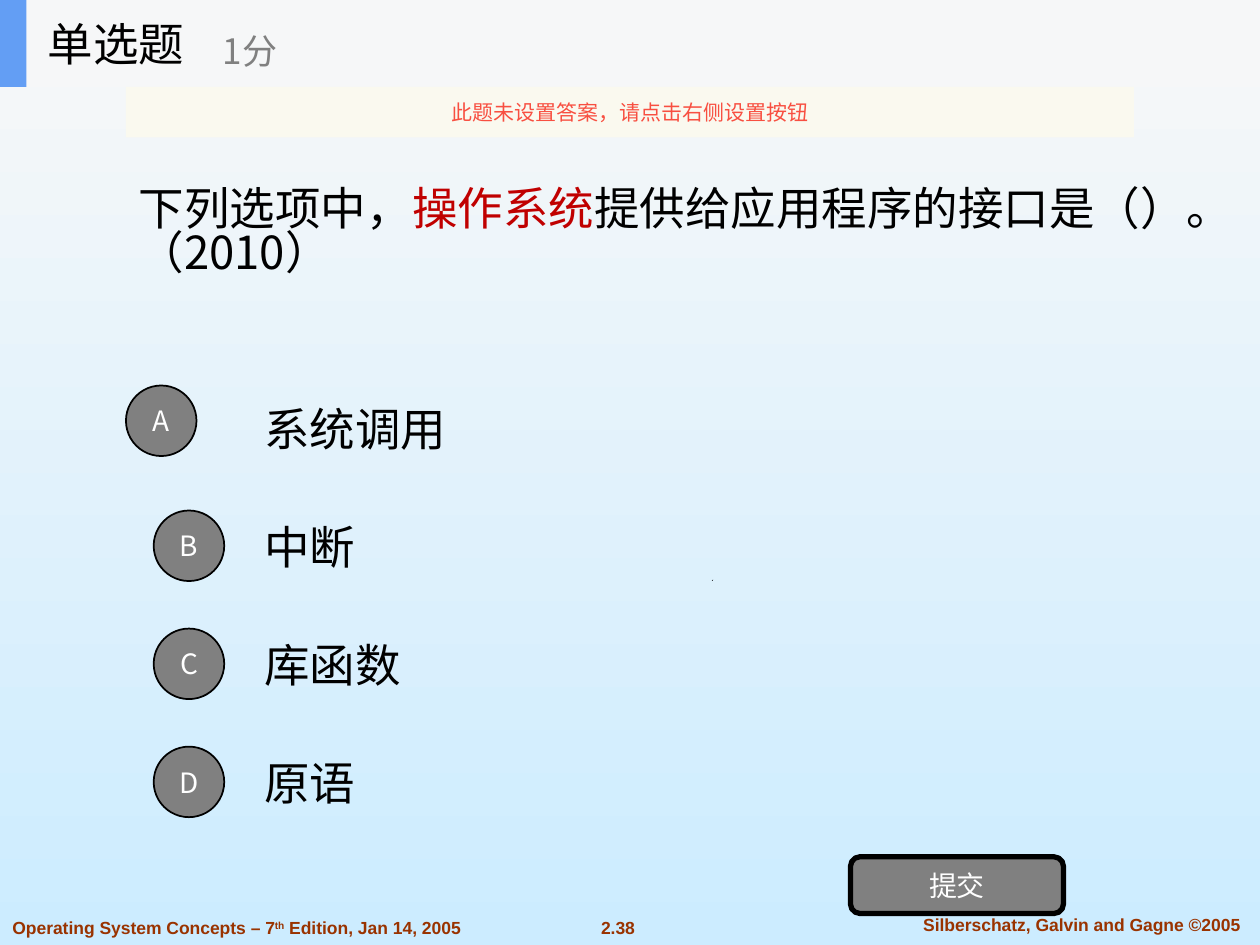
from lxml import etree
from pptx import Presentation, util as u
from pptx.dml.color import RGBColor
from pptx.enum import shapes, text
from pptx.oxml.ns import qn

CJK, LATIN = "Noto Sans CJK SC", "Arial"
BLACK, WHITE, GREY = "000000", "FFFFFF", "808080"
RED, BROWN, ALERT = "C00000", "993300", "F84F41"
LEFT, CENTER = text.PP_ALIGN.LEFT, text.PP_ALIGN.CENTER
SHAPE = shapes.MSO_SHAPE


def color(value):
    return RGBColor.from_string(value)


class QuizSlide:
    """Holds the style and the slide; lengths are in a grid of 100 columns by 75 rows."""

    def __init__(self, prs, layout):
        self.col = prs.slide_width / 100
        self.row = prs.slide_height / 75
        self.s = prs.slides.add_slide(layout)

    def box(self, x, y, w, h):
        return [u.Emu(round(n)) for n in
                (x * self.col, y * self.row, w * self.col, h * self.row)]

    def background(self, top, bottom):
        fill = self.s.background.fill
        fill.gradient()
        fill.gradient_angle = 270
        for stop, position, value in zip(fill.gradient_stops, (0, 1), (top, bottom)):
            stop.position = position
            stop.color.rgb = color(value)

    def add_words(self, sp, runs, size, align=LEFT, font=CJK, bold=False, wrap=True, spacing=1.0):
        """Fill one paragraph with (words, colour) or (words, colour, baseline) runs."""
        tf = sp.text_frame
        tf.word_wrap = wrap
        tf.auto_size = text.MSO_AUTO_SIZE.NONE
        tf.vertical_anchor = text.MSO_ANCHOR.MIDDLE
        p = tf.paragraphs[0]
        p.alignment = align
        p.line_spacing = spacing
        p.space_before = u.Pt(0)
        for words, value, *baseline in runs:
            r = p.add_run()
            r.text = words
            r.font.size = u.Pt(size)
            r.font.bold = bold
            r.font.name = font
            r.font.color.rgb = color(value)
            rPr = r.font._element
            etree.SubElement(rPr, qn("a:ea")).set("typeface", font)
            if baseline:
                rPr.set("baseline", str(baseline[0] * 1000))
        return p

    def placeholder(self, index, place, runs, size, **style):
        sp = self.s.placeholders[index]
        sp.left, sp.top, sp.width, sp.height = self.box(*place)
        p = self.add_words(sp, runs, size, **style)
        pPr = p._p.get_or_add_pPr()
        pPr.set("marL", "0")
        pPr.set("indent", "0")
        etree.SubElement(pPr, qn("a:buNone"))
        return sp

    def label(self, place, runs, size, **style):
        self.add_words(self.s.shapes.add_textbox(*self.box(*place)), runs, size, **style)

    def shape(self, kind, place, fill, line=0, opacity=100):
        sp = self.s.shapes.add_shape(kind, *self.box(*place))
        self.paint(sp, fill)
        if line:
            sp.line.color.rgb = color(BLACK)
            sp.line.width = u.Pt(line)
        if opacity < 100:
            rgb = sp._element.spPr.find(qn("a:solidFill"))[0]
            etree.SubElement(rgb, qn("a:alpha")).set("val", str(opacity * 1000))
        return sp

    def paint(self, sp, fill):
        sp.shadow.inherit = False
        sp.fill.solid()
        sp.fill.fore_color.rgb = color(fill)
        sp.line.fill.background()

    def button(self, kind, place, words, line):
        sp = self.shape(kind, place, GREY, line)
        tf = sp.text_frame
        tf.margin_left = tf.margin_right = tf.margin_top = tf.margin_bottom = 0
        self.add_words(sp, [(words, WHITE)], 16, align=CENTER)

    def speck(self, points):
        pts = [self.box(x, y, 0, 0)[:2] for x, y in points]
        builder = self.s.shapes.build_freeform(*pts[0])
        builder.add_line_segments(pts[1:], close=True)
        self.paint(builder.convert_to_shape(), BLACK)


def main():
    prs = Presentation()
    prs.slide_width, prs.slide_height = u.Inches(10), u.Inches(7.5)
    quiz = QuizSlide(prs, prs.slide_layouts[1])
    quiz.background("F8F8F8", "CCECFF")

    footer = dict(size=10, font=LATIN, bold=True)
    quiz.label((0, 72.3, 42.4, 2.7), [
        ("Operating System Concepts – 7", BROWN), ("th", BROWN, 30),
        (" Edition, Jan 14, 2005", BROWN)], **footer)
    quiz.label((46.4, 72.3, 5.3, 2.7), [("2.38", BROWN)], align=CENTER, **footer)
    quiz.label((71, 72, 29.7, 2.7), [("Silberschatz, Galvin and Gagne ©2005", BROWN)],
               align=CENTER, wrap=False, **footer)
    quiz.speck([(56.5, 46.1), (56.6, 46), (56.55, 46.1)])

    quiz.placeholder(1, (10, 6.9, 88.6, 23.4), [
        ("下列选项中，", BLACK), ("操作系统", RED),
        ("提供给应用程序的接口是（）。（2010）", BLACK)], 26, spacing=0.8)

    first, pitch = 30.5, 9.37
    for i, (letter, answer) in enumerate(zip("ABCD", ("系统调用", "中断", "库函数", "原语"))):
        top = first + i * pitch
        quiz.label((20, top, 70, 7), [(answer, BLACK)], 26)
        x, drop = (12.2, 0.65) if i else (10, 0.1)
        quiz.button(SHAPE.OVAL, (x, top + drop, 5.6, 5.6), letter, 1)
    quiz.button(SHAPE.ROUNDED_RECTANGLE, (67.5, 68, 16.9, 4.5), "提交", 3)

    header = 6.9
    quiz.shape(SHAPE.RECTANGLE, (0, 0, 100, header), "F6F7F8")
    quiz.shape(SHAPE.RECTANGLE, (0, 0, 2.1, header), "639EF4")
    title = quiz.placeholder(0, (2.8, 0, 20.8, header), [("单选题", BLACK)], 26)
    quiz.s.shapes._spTree.append(title._element)  # bring the title in front of the header band
    quiz.label((16.7, 1.2, 25, 5.6), [("1分", GREY)], 20)
    notice = quiz.shape(SHAPE.RECTANGLE, (10, header, 80, 4), "FBFAEF", opacity=90)
    quiz.add_words(notice, [("此题未设置答案，请点击右侧设置按钮", ALERT)], 12, align=CENTER)

    prs.save("out.pptx")


if __name__ == "__main__":
    main()
